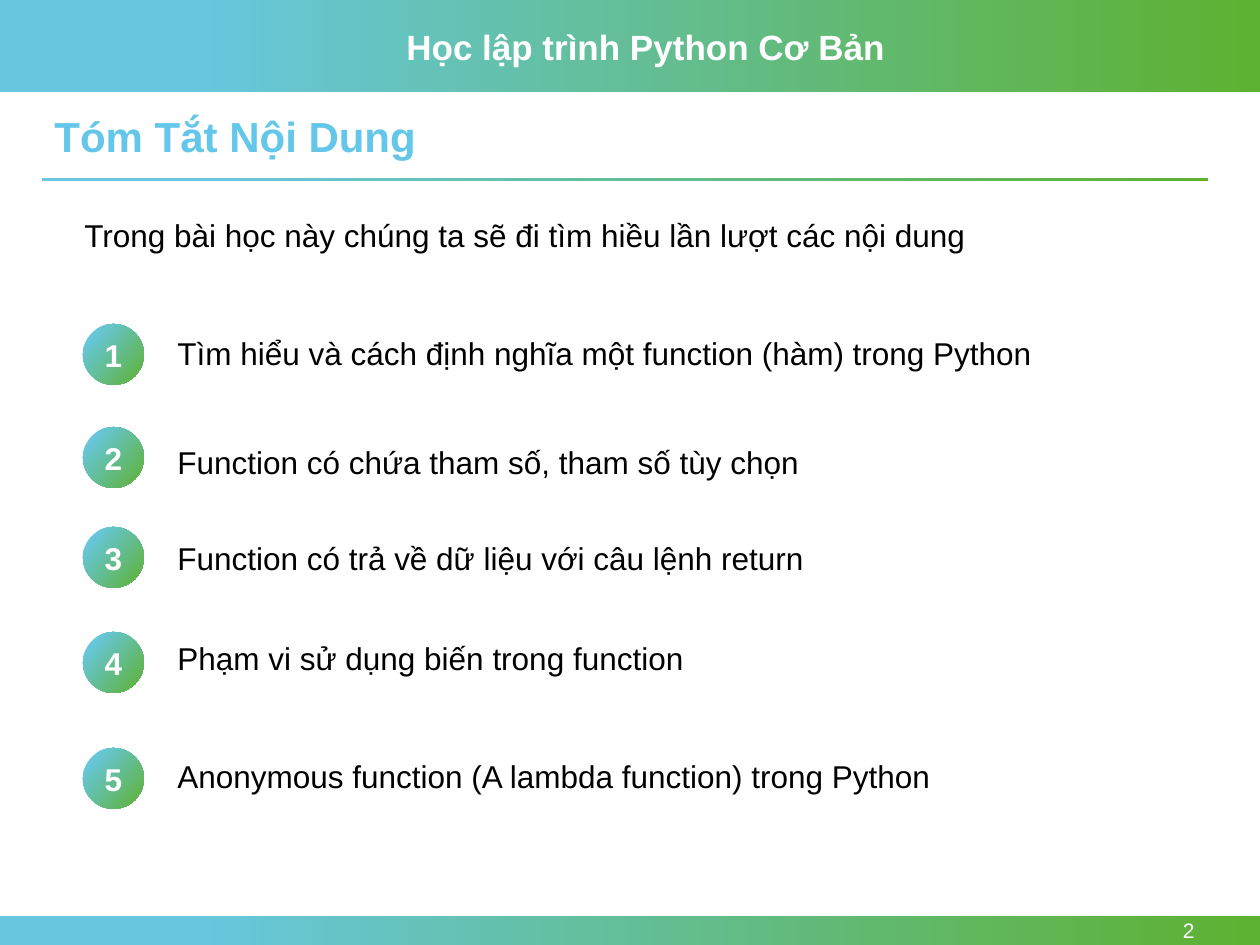
from dataclasses import dataclass

from pptx import Presentation, util as u
from pptx.dml.color import RGBColor
from pptx.enum import shapes, text

SCALE = 914400 // 126  # EMU per pixel


@dataclass(frozen=True)
class Theme:
    """Colours, font and type sizes."""
    font: str = "Arial"
    blue: str = "67C7DF"
    green: str = "5EB130"
    heading: str = "64C7E9"
    white: str = "FFFFFF"
    black: str = "000000"
    small: int = 12
    body: int = 18
    course: int = 20
    title: int = 24


class Painter:
    """Draws styled elements on one slide."""

    def __init__(self, page, theme):
        """Keep the slide and its style."""
        self.page = page
        self.theme = theme

    def set_text(self, frame, words, size, color, bold=False,
                 align=text.PP_ALIGN.LEFT, anchor=text.MSO_ANCHOR.TOP):
        """Put one styled paragraph in a text frame and return it."""
        frame.word_wrap = True
        frame.vertical_anchor = anchor
        para = frame.paragraphs[0]
        para.text = words
        para.alignment = align
        para.font.name = self.theme.font
        para.font.size = u.Pt(size)
        para.font.bold = bold
        para.font.color.rgb = RGBColor.from_string(color)
        return para

    def label(self, area, words, size, color, **style):
        """Add a text box and return its paragraph."""
        box = self.page.shapes.add_textbox(*(n * SCALE for n in area))
        return self.set_text(box.text_frame, words, size, color, **style)

    def gradient(self, kind, area, angle=0):
        """Add a shape filled from blue to green."""
        shape = self.page.shapes.add_shape(kind, *(n * SCALE for n in area))
        shape.shadow.inherit = False
        shape.line.fill.background()
        shape.fill.gradient()
        shape.fill.gradient_angle = angle
        stops = ((0.15, self.theme.blue), (1, self.theme.green))
        for stop, (position, color) in zip(shape.fill.gradient_stops, stops):
            stop.position = position
            stop.color.rgb = RGBColor.from_string(color)
        return shape

    def band(self, *area):
        """Add a horizontal gradient bar."""
        self.gradient(shapes.MSO_SHAPE.RECTANGLE, area)

    def item(self, number, badge_top, text_top, words):
        """Add a numbered badge with its topic."""
        badge = self.gradient(shapes.MSO_SHAPE.OVAL, (83, badge_top, 61, 61), 320)
        self.set_text(badge.text_frame, str(number), self.theme.body,
                      self.theme.white, bold=True, align=text.PP_ALIGN.CENTER,
                      anchor=text.MSO_ANCHOR.MIDDLE)
        self.label((165, text_top, 893, 50), words, self.theme.body,
                   self.theme.black)


TOPICS = (
    (324, 328, "Tìm hiểu và cách định nghĩa một function (hàm) trong Python"),
    (427, 437, "Function có chứa tham số, tham số tùy chọn"),
    (527, 533, "Function có trả về dữ liệu với câu lệnh return"),
    (632, 633, "Phạm vi sử dụng biến trong function"),
    (748, 751, "Anonymous function (A lambda function) trong Python"),
)


def main():
    """Build and save the slide."""
    deck = Presentation()
    deck.slide_width, deck.slide_height = u.Inches(10), u.Inches(7.5)
    theme = Theme()
    painter = Painter(deck.slides.add_slide(deck.slide_layouts[6]), theme)

    painter.band(0, 0, 1260, 92)
    painter.band(0, 916, 1260, 29)
    painter.band(42, 178, 1166, 3)
    painter.label((394, 19, 504, 55), "Học lập trình Python Cơ Bản",
                  theme.course, theme.white, bold=True)
    painter.label((1091, 916, 116, 29), "2", theme.small, theme.white,
                  align=text.PP_ALIGN.RIGHT, anchor=text.MSO_ANCHOR.MIDDLE)
    heading = painter.label((42, 110, 1166, 58), "Tóm Tắt Nội Dung",
                            theme.title, theme.heading, bold=True)
    heading.line_spacing = 0.9
    painter.label((72, 210, 1135, 50),
                  "Trong bài học này chúng ta sẽ đi tìm hiều lần lượt các nội dung",
                  theme.body, theme.black)
    for number, topic in enumerate(TOPICS, 1):
        painter.item(number, *topic)

    deck.save("out.pptx")


main()
